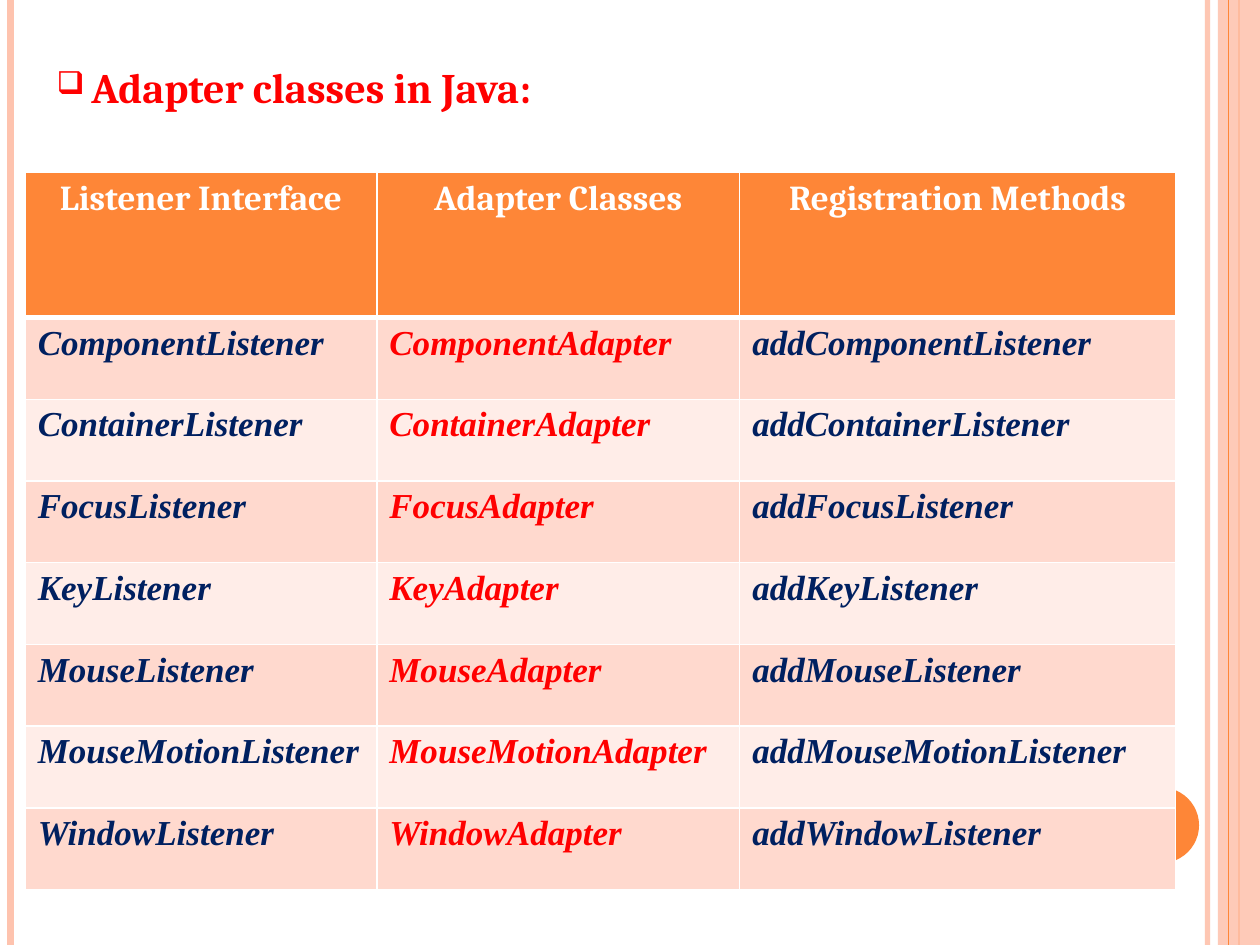
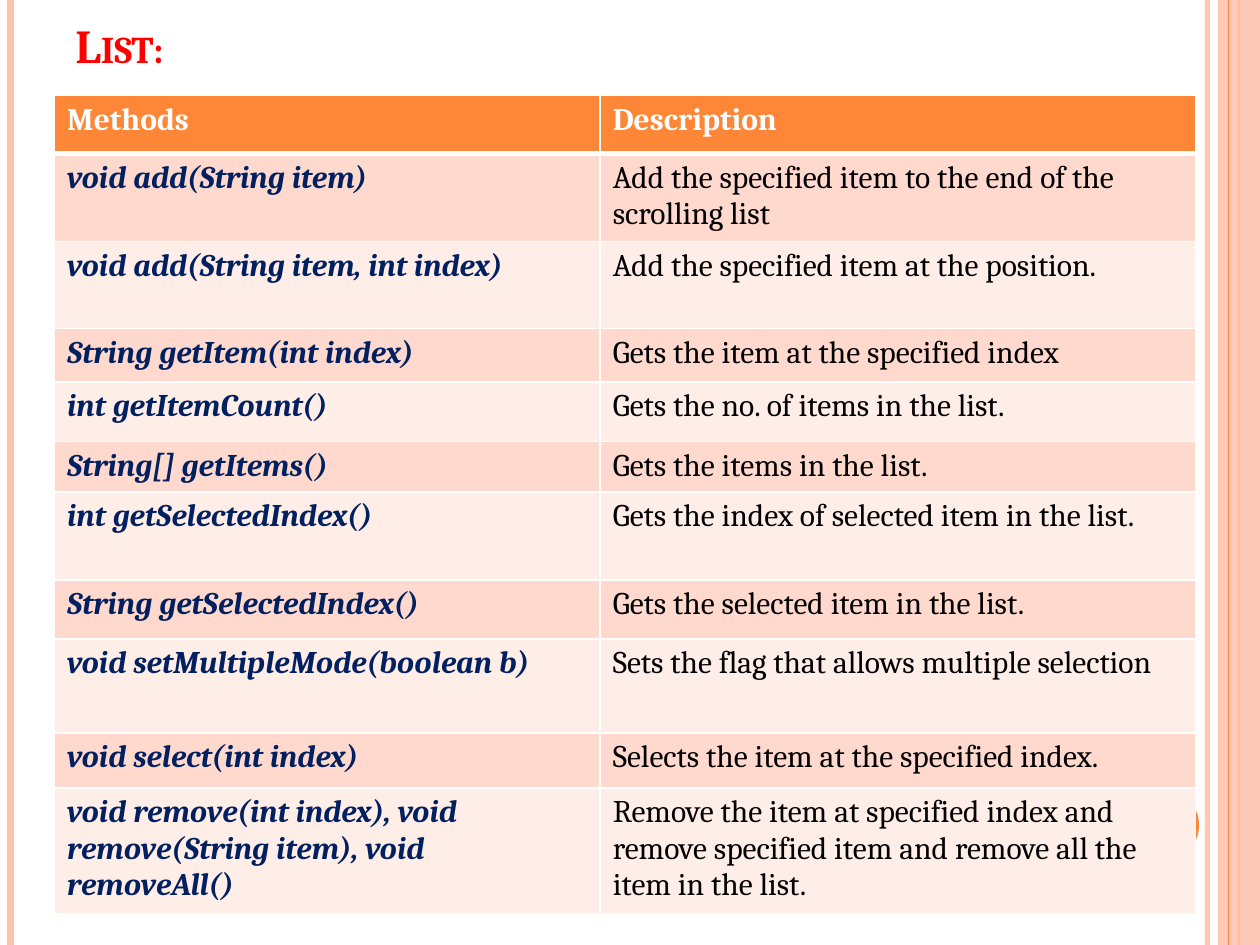
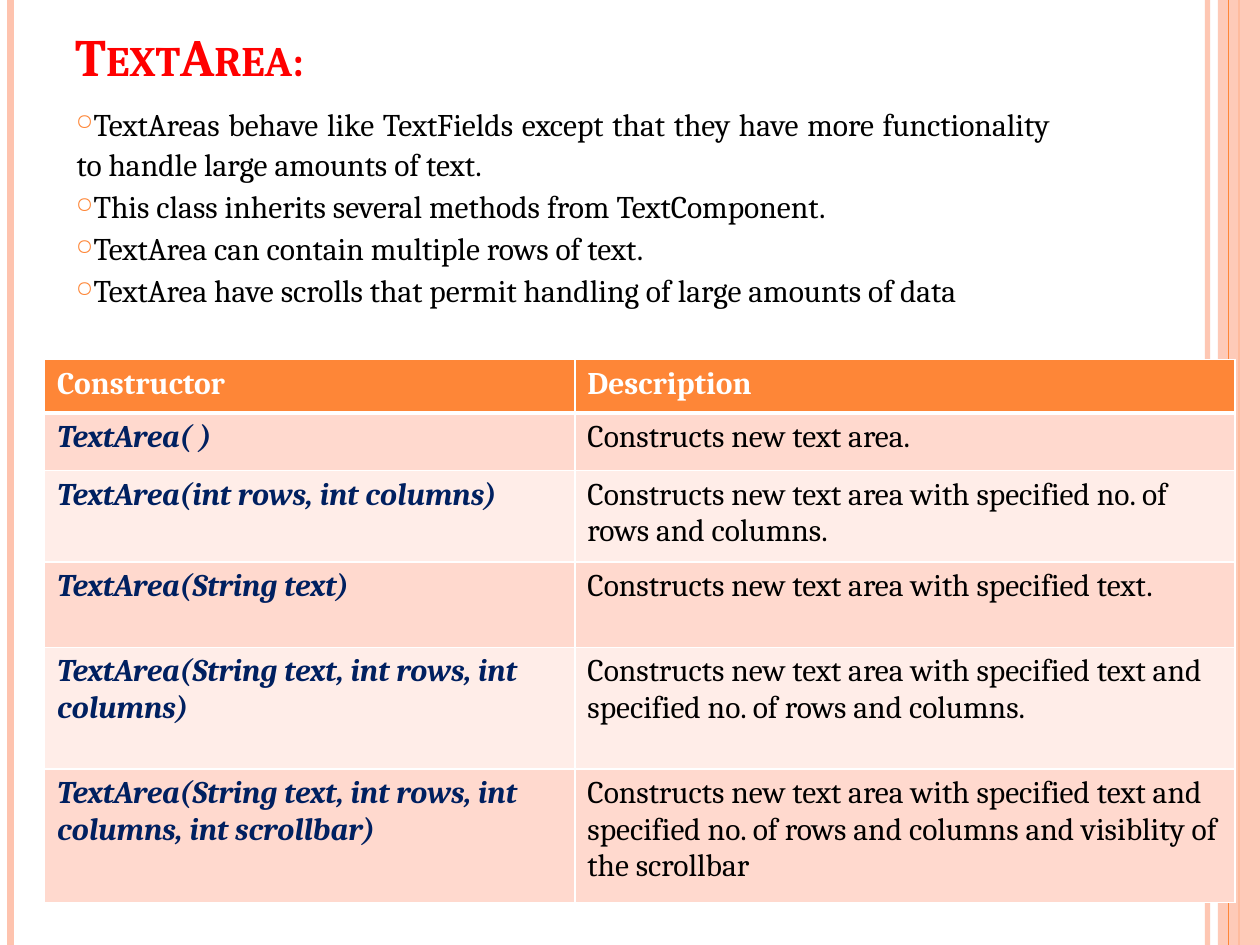
from dataclasses import dataclass

from lxml import etree
from pptx import Presentation
from pptx.dml.color import RGBColor
from pptx.enum.shapes import MSO_CONNECTOR, MSO_SHAPE
from pptx.enum.text import MSO_ANCHOR, PP_ALIGN
from pptx.oxml.ns import qn
from pptx.util import Pt


@dataclass(frozen=True)
class Theme:
    width: float = 720
    height: float = 540
    orange: str = "FE8637"
    peach: str = "FEC3AE"
    band_dark: str = "FFD9CE"
    band_light: str = "FFEDE8"
    red: str = "FF0000"
    navy: str = "002060"
    black: str = "000000"
    white: str = "FFFFFF"
    serif: str = "Cambria"
    roman: str = "Times New Roman"
    body: float = 18
    large: float = 20
    heading: float = 24
    line_height: float = 1.17


@dataclass(frozen=True)
class Font:
    color: str
    size: float = Theme.body
    family: str = Theme.serif
    bold: bool = False
    italic: bool = False


THEME = Theme()
PLAIN = Font(THEME.black)
HEADER = Font(THEME.white, bold=True)
SIGNATURE = Font(THEME.navy, bold=True, italic=True)


def child(parent, tag, **attributes):
    return etree.SubElement(parent, qn(tag), attributes)


def set_alpha(element, percent):
    color = element.find(".//" + qn("a:srgbClr"))
    child(color, "a:alpha", val=str(percent * 1000))


class Deck:
    def __init__(self, theme):
        self.theme = theme
        self.presentation = Presentation()
        self.presentation.slide_width = Pt(theme.width)
        self.presentation.slide_height = Pt(theme.height)
        self.slide = None

    def new_slide(self):
        theme = self.theme
        layout = self.presentation.slide_layouts[6]
        self.slide = self.presentation.slides.add_slide(layout)
        self.stripe(690, theme.peach, 3, alpha=93)
        self.stripe(6, theme.peach, 4.5)
        self.stripe(708, theme.orange, 1.5)
        band = self.shape(MSO_SHAPE.RECTANGLE, 696, 0, 24, theme.height, theme.peach)
        set_alpha(band.fill._xPr, 87)
        self.stripe(702, theme.orange, 0.75)
        self.shape(MSO_SHAPE.OVAL, 642, 450, 43.2, 43.2, theme.orange)

    def stripe(self, x, color, width, alpha=100):
        stripe = self.slide.shapes.add_connector(
            MSO_CONNECTOR.STRAIGHT, Pt(x), Pt(0), Pt(x), Pt(self.theme.height))
        stripe.line.color.rgb = RGBColor.from_string(color)
        stripe.line.width = Pt(width)
        properties = stripe._element.spPr
        if alpha < 100:
            set_alpha(properties, alpha)
        child(properties, "a:effectLst")

    def shape(self, preset, left, top, width, height, color):
        shape = self.slide.shapes.add_shape(
            preset, Pt(left), Pt(top), Pt(width), Pt(height))
        shape.shadow.inherit = False
        shape.fill.solid()
        shape.fill.fore_color.rgb = RGBColor.from_string(color)
        shape.line.fill.background()
        return shape

    def frame(self, left, top, width, height):
        box = self.slide.shapes.add_textbox(Pt(left), Pt(top), Pt(width), Pt(height))
        box.text_frame.word_wrap = True
        return box.text_frame

    def run(self, paragraph, text, font):
        run = paragraph.add_run()
        run.text = text
        run.font.name = font.family
        run.font.size = Pt(font.size)
        run.font.bold = font.bold
        run.font.italic = font.italic
        run.font.color.rgb = RGBColor.from_string(font.color)
        return run

    def bullet(self, paragraph, symbol, color=None, percent=None):
        properties = paragraph._p.get_or_add_pPr()
        if color:
            child(child(properties, "a:buClr"), "a:srgbClr", val=color)
        if percent:
            child(properties, "a:buSzPct", val=str(percent * 1000))
        child(properties, "a:buChar", char=symbol)
        return properties

    def title(self, text, size, height):
        frame = self.frame(36, 0, 588, height)
        frame.vertical_anchor = MSO_ANCHOR.BOTTOM
        frame.margin_bottom = Pt(3.6 + size * self.theme.line_height)
        font = Font(self.theme.red, size, bold=True)
        run = self.run(frame.paragraphs[0], text, font)
        run.font._element.set("cap", "small")

    def heading(self, text):
        paragraph = self.frame(25.2, 31.7, 504.7, 36).paragraphs[0]
        self.bullet(paragraph, "❑")
        self.run(paragraph, " ", Font(self.theme.red, bold=True))
        self.run(paragraph, text, Font(self.theme.red, self.theme.heading, bold=True))

    def bullets(self, points):
        frame = self.frame(36, 54.7, 624.2, 455)
        for index, point in enumerate(points):
            paragraph = frame.add_paragraph() if index else frame.paragraphs[0]
            paragraph.alignment = PP_ALIGN.JUSTIFY
            paragraph.line_spacing = 1.07
            paragraph.space_before = Pt(1)
            properties = self.bullet(paragraph, "○", self.theme.orange, 70)
            properties.set("marL", str(Pt(0.72)))
            properties.set("marR", str(Pt(53)))
            properties.set("indent", str(Pt(-0.3)))
            self.run(paragraph, point, PLAIN)

    def borders(self, cell, top, bottom):
        properties = cell._tc.get_or_add_tcPr()
        widths = {"a:lnL": 1, "a:lnR": 1, "a:lnT": top, "a:lnB": bottom}
        for index, (side, width) in enumerate(widths.items()):
            line = etree.Element(qn(side), w=str(Pt(width)))
            child(child(line, "a:solidFill"), "a:srgbClr", val=self.theme.white)
            properties.insert(index, line)

    def table(self, left, top, widths, heights, rows, fonts,
              header=HEADER, header_alignment=PP_ALIGN.LEFT):
        theme = self.theme
        table = self.slide.shapes.add_table(
            len(rows), len(widths), Pt(left), Pt(top),
            Pt(sum(widths)), Pt(sum(heights))).table
        for column, width in zip(table.columns, widths):
            column.width = Pt(width)
        for number, (row, height) in enumerate(zip(rows, heights)):
            table.rows[number].height = Pt(height)
            band = theme.band_dark if number % 2 else theme.band_light
            for position, text in enumerate(row):
                cell = table.cell(number, position)
                cell.fill.solid()
                cell.fill.fore_color.rgb = RGBColor.from_string(
                    band if number else theme.orange)
                self.borders(cell, 3 if number == 1 else 1, 1 if number else 3)
                paragraph = cell.text_frame.paragraphs[0]
                paragraph.alignment = PP_ALIGN.LEFT if number else header_alignment
                self.run(paragraph, text, fonts[position] if number else header)


def adapter_slide(deck):
    deck.new_slide()
    events = ["Component", "Container", "Focus", "Key", "Mouse", "MouseMotion", "Window"]
    rows = [("Listener Interface", "Adapter Classes", "Registration Methods")]
    rows += [(f"{event}Listener", f"{event}Adapter", f"add{event}Listener")
             for event in events]
    listener, adapter = (Font(color, THEME.large, THEME.roman, True, True)
                         for color in (THEME.navy, THEME.red))
    deck.table(14.4, 98.7, [200.9, 207.4, 249.1], [82.8] + [46.7] * len(events), rows,
               [listener, adapter, listener],
               Font(THEME.white, THEME.large, bold=True), PP_ALIGN.CENTER)
    deck.heading("Adapter classes in Java:")


def list_slide(deck):
    deck.new_slide()
    deck.title("List:", 27, 77)
    methods = [
        ("Methods", "Description"),
        ("void add(String item)", "Add the specified item to the end of the scrolling list"),
        ("void add(String item, int index)", "Add the specified item at the position."),
        ("String getItem(int index)", "Gets the item at the specified index"),
        ("int getItemCount()", "Gets the no. of items in the list."),
        ("String[] getItems()", "Gets the items in the list."),
        ("int getSelectedIndex()", "Gets the index of selected item in the list."),
        ("String getSelectedIndex()", "Gets the selected item in the list."),
        ("void setMultipleMode(boolean b)", "Sets the flag that allows multiple selection"),
        ("void select(int index)", "Selects the item at the specified index."),
        ("void remove(int index), void remove(String item), void removeAll()",
         "Remove the item at specified index and remove specified item "
         "and remove all the item in the list."),
    ]
    heights = [33, 48.6, 49.7, 30.6, 33.8, 28.4, 50.4, 33.8, 53.6, 31.6, 71]
    deck.table(31.2, 54.7, [311.8, 340.2], heights, methods, [SIGNATURE, PLAIN])


def text_area_slide(deck):
    deck.new_slide()
    deck.title("TextArea:", 30, 88.6)
    deck.bullets([
        "TextAreas behave like TextFields except that they have more functionality "
        "to handle large amounts of text.",
        "This class inherits several methods from TextComponent.",
        "TextArea can contain multiple rows of text.",
        "TextArea have scrolls that permit handling of large amounts of data",
    ])
    new_area = "Constructs new text area"
    constructors = [
        ("Constructor", "Description"),
        ("TextArea( )", f"{new_area}."),
        ("TextArea(int rows, int columns)",
         f"{new_area} with specified no. of rows and columns."),
        ("TextArea(String text)", f"{new_area} with specified text."),
        ("TextArea(String text, int rows, int columns)",
         f"{new_area} with specified text and specified no. of rows and columns."),
        ("TextArea(String text, int rows, int columns, int scrollbar)",
         f"{new_area} with specified text and specified no. of rows and columns "
         "and visiblity of the scrollbar"),
    ]
    deck.table(25.4, 205.4, [303.1, 377.3], [30.6, 32.8, 52.5, 48.6, 69.6, 76.2],
               constructors, [SIGNATURE, PLAIN])


def main():
    deck = Deck(THEME)
    adapter_slide(deck)
    list_slide(deck)
    text_area_slide(deck)
    deck.presentation.save("out.pptx")


if __name__ == "__main__":
    main()
